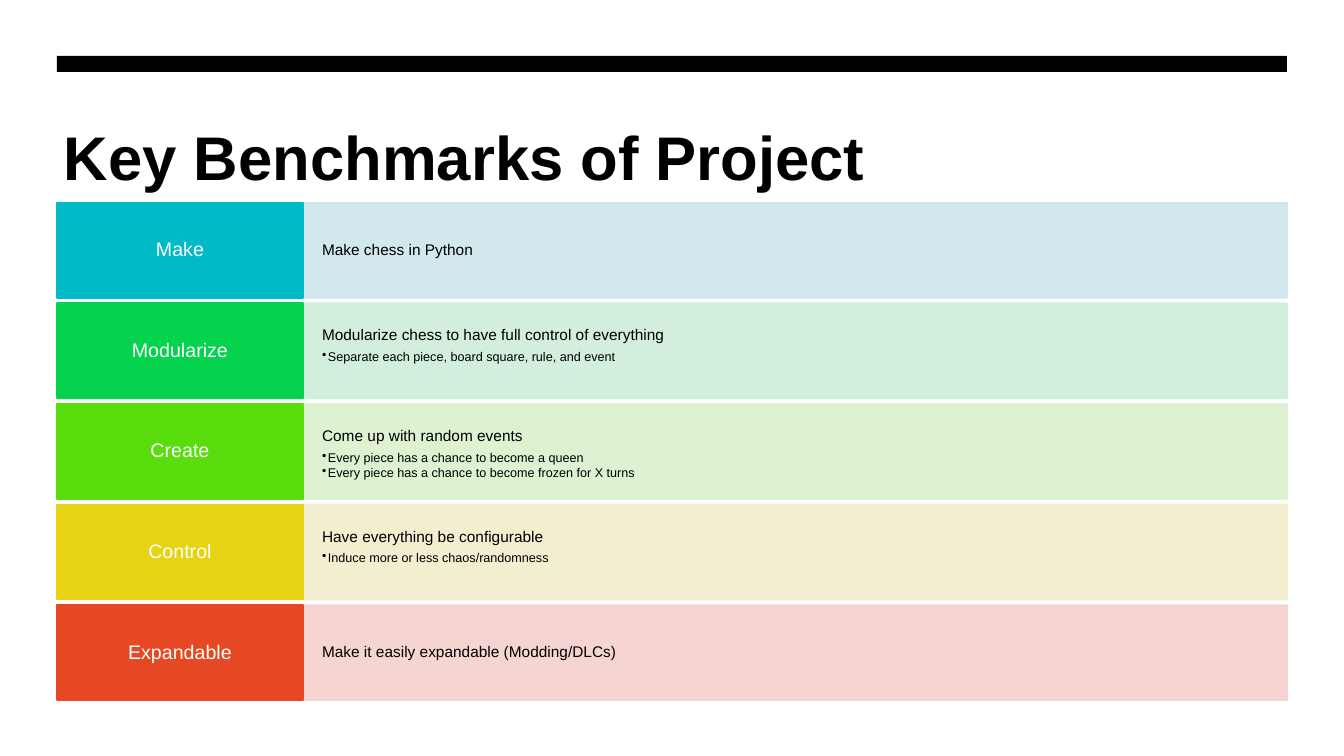
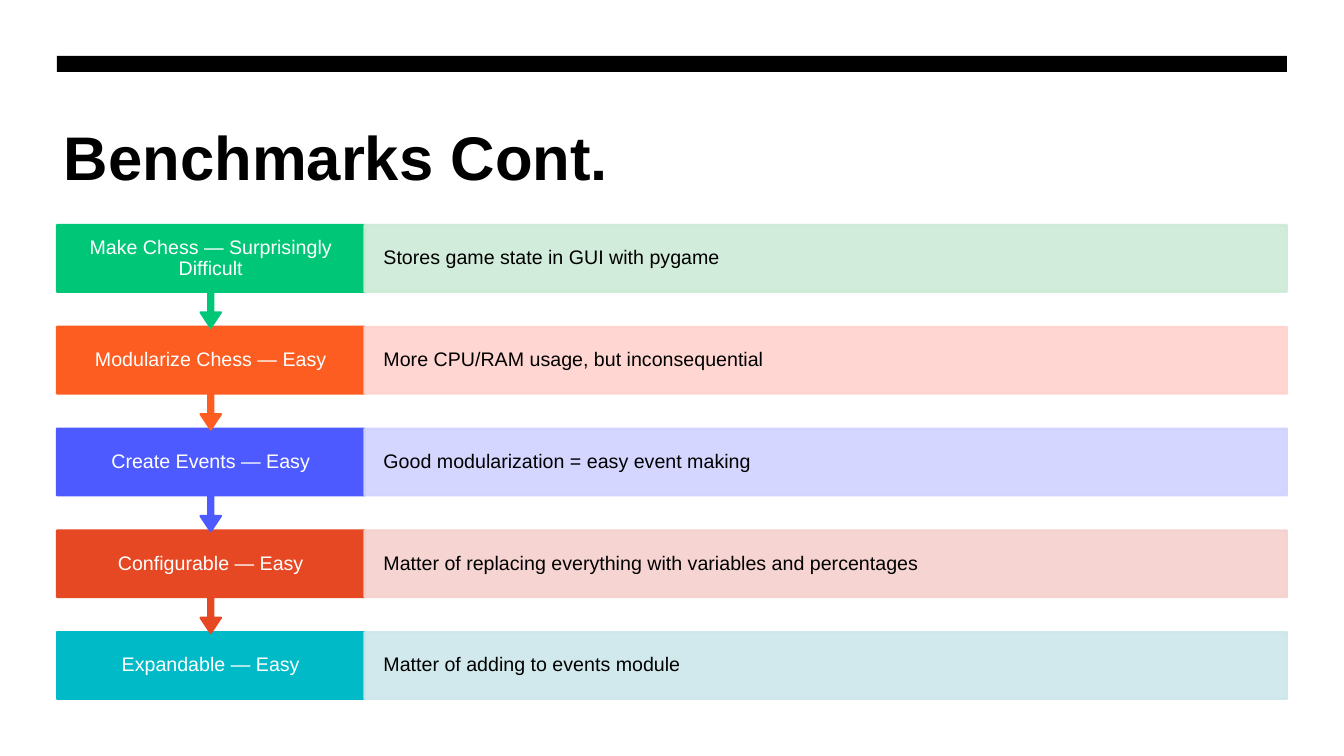
from dataclasses import dataclass

from lxml.etree import SubElement
from pptx import Presentation
from pptx.dml.color import RGBColor
from pptx.enum.shapes import MSO_SHAPE as Preset
from pptx.enum.text import MSO_ANCHOR as Anchor, PP_ALIGN as Align
from pptx.oxml.ns import qn
from pptx.util import Pt

SLIDE_WIDTH, SLIDE_HEIGHT = 1344, 756
LEFT, CONTENT_WIDTH = 57, 1230
CALLOUT_BOX_SHARE = 0.65


@dataclass(frozen=True)
class Theme:
    font: str = "Arial"
    black: str = "000000"
    white: str = "FFFFFF"
    green: str = "00C777"
    orange: str = "FE5D21"
    indigo: str = "4D5AFF"
    red: str = "E64823"
    teal: str = "00BAC8"
    emerald: str = "06D34D"
    lime: str = "59DD0C"
    yellow: str = "E6D313"
    pale_green: str = "CCEBD6"
    pale_orange: str = "FFD2CD"
    pale_indigo: str = "D0D2FF"
    pale_red: str = "F5D0CD"
    pale_teal: str = "CCE7EB"
    pale_emerald: str = "CCEED9"
    pale_lime: str = "DBF1CC"
    pale_yellow: str = "F3EDCD"
    title_size: int = 44
    label_size: int = 14
    detail_size: int = 11
    bullet_size: int = 9
    outline: float = 1.5
    tint_opacity: int = 90
    line_spacing: float = 0.9
    detail_gap: float = 4.5
    bullet_gap: float = 1.5


THEME = Theme()

# label, colour, tint, detail, bullets
BENCHMARKS = [
    ("Make", THEME.teal, THEME.pale_teal, "Make chess in Python", []),
    ("Modularize", THEME.emerald, THEME.pale_emerald,
     "Modularize chess to have full control of everything",
     ["Separate each piece, board square, rule, and event"]),
    ("Create", THEME.lime, THEME.pale_lime, "Come up with random events",
     ["Every piece has a chance to become a queen",
      "Every piece has a chance to become frozen for X turns"]),
    ("Control", THEME.yellow, THEME.pale_yellow, "Have everything be configurable",
     ["Induce more or less chaos/randomness"]),
    ("Expandable", THEME.red, THEME.pale_red,
     "Make it easily expandable (Modding/DLCs)", []),
]

# label, colour, tint, detail
STEPS = [
    ("Make Chess — Surprisingly Difficult", THEME.green, THEME.pale_green,
     "Stores game state in GUI with pygame"),
    ("Modularize Chess — Easy", THEME.orange, THEME.pale_orange,
     "More CPU/RAM usage, but inconsequential"),
    ("Create Events — Easy", THEME.indigo, THEME.pale_indigo,
     "Good modularization = easy event making"),
    ("Configurable — Easy", THEME.red, THEME.pale_red,
     "Matter of replacing everything with variables and percentages"),
    ("Expandable — Easy", THEME.teal, THEME.pale_teal,
     "Matter of adding to events module"),
]


def px(length):
    return round(length * 914400 / 100.8)


def set_insets(frame, horizontal, vertical):
    frame.word_wrap = True
    frame.margin_left = frame.margin_right = px(horizontal)
    frame.margin_top = frame.margin_bottom = px(vertical)


def add_run(paragraph, text, size, color, bold=False):
    run = paragraph.add_run()
    run.text = text
    run.font.name = THEME.font
    run.font.size = Pt(size)
    run.font.bold = bold
    run.font.color.rgb = RGBColor.from_string(color)


def add_block(slide, box, color, preset=Preset.RECTANGLE, outlined=True):
    shape = slide.shapes.add_shape(preset, *map(px, box))
    shape.shadow.inherit = False
    shape.fill.solid()
    shape.fill.fore_color.rgb = RGBColor.from_string(color)
    if outlined:
        shape.line.color.rgb = RGBColor.from_string(color)
        shape.line.width = Pt(THEME.outline)
    else:
        shape.line.fill.background()
    return shape


def write_line(paragraph, text, size, color, align=Align.LEFT, gap=THEME.detail_gap):
    paragraph.alignment = align
    paragraph.line_spacing = THEME.line_spacing
    paragraph.space_after = Pt(gap)
    add_run(paragraph, text, size, color)


def write_bullet(paragraph, text):
    paragraph.level = 1
    properties = paragraph._p.get_or_add_pPr()
    properties.set("marL", str(px(6)))
    properties.set("indent", str(px(-6)))
    SubElement(properties, qn("a:buChar")).set("char", "•")
    write_line(paragraph, text, THEME.bullet_size, THEME.black, gap=THEME.bullet_gap)


def add_label(slide, box, color, text, insets, preset=Preset.RECTANGLE):
    shape = add_block(slide, box, color, preset)
    frame = shape.text_frame
    set_insets(frame, *insets)
    frame.vertical_anchor = Anchor.MIDDLE
    write_line(frame.paragraphs[0], text, THEME.label_size, THEME.white, Align.CENTER)
    return shape


def add_detail(slide, box, tint, text, size, insets, bullets=()):
    """Add a translucent panel with a sentence and optional bullets below it."""
    shape = add_block(slide, box, tint)
    for color in shape.element.spPr.iter(qn("a:srgbClr")):
        SubElement(color, qn("a:alpha")).set("val", str(THEME.tint_opacity * 1000))
    frame = shape.text_frame
    set_insets(frame, *insets)
    frame.vertical_anchor = Anchor.TOP if bullets else Anchor.MIDDLE
    write_line(frame.paragraphs[0], text, size, THEME.black)
    for bullet in bullets:
        write_bullet(frame.add_paragraph(), bullet)


def row_boxes(count, top, bottom, gap, label_share):
    """Return a (label box, detail box) pair for each of the equal rows."""
    height = (bottom - top - gap * (count - 1)) / count
    label_width = CONTENT_WIDTH * label_share
    tops = [top + index * (height + gap) for index in range(count)]
    return [((LEFT, y, label_width, height),
             (LEFT + label_width, y, CONTENT_WIDTH - label_width, height))
            for y in tops]


def add_titled_slide(presentation, title):
    slide = presentation.slides.add_slide(presentation.slide_layouts[6])
    text_box = slide.shapes.add_textbox(px(LEFT), px(108), px(CONTENT_WIDTH), px(90))
    set_insets(text_box.text_frame, 7, 11)
    add_run(text_box.text_frame.paragraphs[0], title, THEME.title_size, THEME.black, True)
    add_block(slide, (LEFT, 56, CONTENT_WIDTH, 16), THEME.black, outlined=False)
    return slide


def add_benchmark_rows(slide):
    boxes = row_boxes(len(BENCHMARKS), 203, 700, 6, 1 / 5)
    for (label, color, tint, detail, bullets), (label_box, detail_box) in zip(BENCHMARKS, boxes):
        add_detail(slide, detail_box, tint, detail, THEME.detail_size, (19, 24), bullets)
        add_label(slide, label_box, color, label, (13, 9))


def add_step_rows(slide):
    """Stack the steps from the last up, so each arrow overlaps the next row."""
    boxes = row_boxes(len(STEPS), 225, 699, 35, 1 / 4)
    last = STEPS[-1]
    for step, (label_box, detail_box) in reversed(list(zip(STEPS, boxes))):
        label, color, tint, detail = step
        if step is last:
            add_label(slide, label_box, color, label, (22, 11))
        else:
            x, y, width, height = label_box
            callout = add_label(slide, (x, y, width, height / CALLOUT_BOX_SHARE), color,
                                label, (22, 11), Preset.DOWN_ARROW_CALLOUT)
            for index, value in enumerate((0.05, 0.1, 0.15, CALLOUT_BOX_SHARE)):
                callout.adjustments[index] = value
        add_detail(slide, detail_box, tint, detail, THEME.label_size, (19, 19))


def main():
    presentation = Presentation()
    presentation.slide_width = px(SLIDE_WIDTH)
    presentation.slide_height = px(SLIDE_HEIGHT)
    add_benchmark_rows(add_titled_slide(presentation, "Key Benchmarks of Project"))
    add_step_rows(add_titled_slide(presentation, "Benchmarks Cont."))
    presentation.save("out.pptx")


if __name__ == "__main__":
    main()
